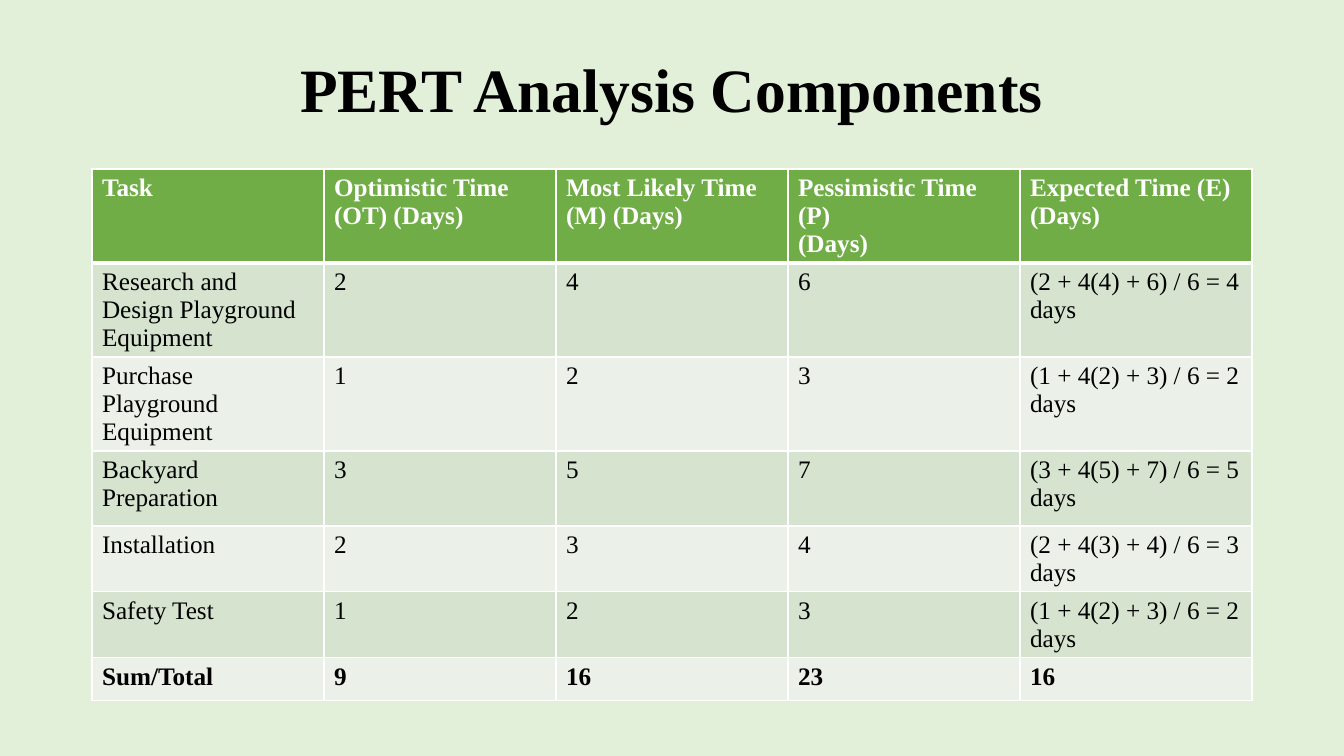
from lxml import etree
from pptx import Presentation
from pptx import util as u
from pptx.dml.color import RGBColor
from pptx.enum import text
from pptx.oxml import ns

SCALE = 914400 / 100.8  # EMU in one px
FONT = "Times New Roman"
PALE_GREEN = RGBColor(0xE2, 0xF0, 0xD9)
GREEN = RGBColor(0x70, 0xAD, 0x47)
DARK_BAND = RGBColor(0xD5, 0xE3, 0xCF)
LIGHT_BAND = RGBColor(0xEB, 0xF1, 0xE9)
BLACK = RGBColor(0, 0, 0)
WHITE = RGBColor(0xFF, 0xFF, 0xFF)

HEADINGS = [
    "Task",
    "Optimistic Time (OT) (Days)",
    "Most Likely Time (M) (Days)",
    "Pessimistic Time (P)\n(Days)",
    "Expected Time (E)\n(Days)",
]
# Task with its optimistic, most likely and pessimistic days
TASKS = [
    ("Research and Design Playground Equipment", 2, 4, 6),
    ("Purchase Playground Equipment", 1, 2, 3),
    ("Backyard Preparation", 3, 5, 7),
    ("Installation", 2, 3, 4),
    ("Safety Test", 1, 2, 3),
]
ROW_HEIGHTS = [94, 94, 94, 75, 66, 66, 43]


def px(length):
    return u.Emu(round(length * SCALE))


def set_font(para, size, color, bold):
    font = para.font
    font.name, font.size, font.bold = FONT, u.Pt(size), bold
    font.color.rgb = color


def add_title(page, wording, left, top, width, height):
    title = page.shapes.title
    title.left, title.top, title.width, title.height = map(px, (left, top, width, height))
    frame = title.text_frame
    frame.text = wording
    frame.word_wrap = True
    frame.vertical_anchor = text.MSO_ANCHOR.MIDDLE
    para = frame.paragraphs[0]
    para.alignment = text.PP_ALIGN.CENTER
    para.line_spacing = 0.9
    set_font(para, 44, BLACK, True)


def set_borders(cell, widths):
    """Draw white borders; widths maps each side (L, R, T, B) to points."""
    properties = cell._tc.get_or_add_tcPr()
    for place, (side, points) in enumerate(widths.items()):
        line = etree.Element(ns.qn(f"a:ln{side}"), w=str(u.Pt(points)))
        fill = etree.SubElement(line, ns.qn("a:solidFill"))
        etree.SubElement(fill, ns.qn("a:srgbClr"), val=str(WHITE))
        properties.insert(place, line)


def table_rows():
    """Work out the expected times and the totals."""
    rows = [HEADINGS]
    totals = [0, 0, 0, 0]
    for task, early, likely, late in TASKS:
        expected = (early + 4 * likely + late) // 6
        formula = f"({early} + 4({likely}) + {late}) / 6 = {expected} days"
        rows.append([task, early, likely, late, formula])
        totals = [a + b for a, b in zip(totals, (early, likely, late, expected))]
    return rows + [["Sum/Total", *totals]]


def add_pert_table(page, left, top, width):
    rows = table_rows()
    last = len(rows) - 1
    box = map(px, (left, top, width, sum(ROW_HEIGHTS)))
    table = page.shapes.add_table(len(rows), len(HEADINGS), *box).table
    for column in table.columns:
        column.width = px(width / len(HEADINGS))
    for r, values in enumerate(rows):
        table.rows[r].height = px(ROW_HEIGHTS[r])
        band = GREEN if r == 0 else DARK_BAND if r % 2 else LIGHT_BAND
        # A thick rule parts the heading from the tasks
        widths = {"L": 1, "R": 1, "T": 3 if r == 1 else 1, "B": 3 if r == 0 else 1}
        for c, value in enumerate(values):
            cell = table.cell(r, c)
            cell.text = str(value)
            cell.fill.solid()
            cell.fill.fore_color.rgb = band
            set_borders(cell, widths)
            for para in cell.text_frame.paragraphs:
                set_font(para, 18, BLACK if r else WHITE, r in (0, last))


def main():
    deck = Presentation()
    deck.slide_width, deck.slide_height = px(1344), px(756)
    page = deck.slides.add_slide(deck.slide_layouts[5])
    page.background.fill.solid()
    page.background.fill.fore_color.rgb = PALE_GREEN
    add_title(page, "PERT Analysis Components", 92, 40, 1160, 106)
    add_pert_table(page, 92, 169, 1160)
    deck.save("out.pptx")


if __name__ == "__main__":
    main()
